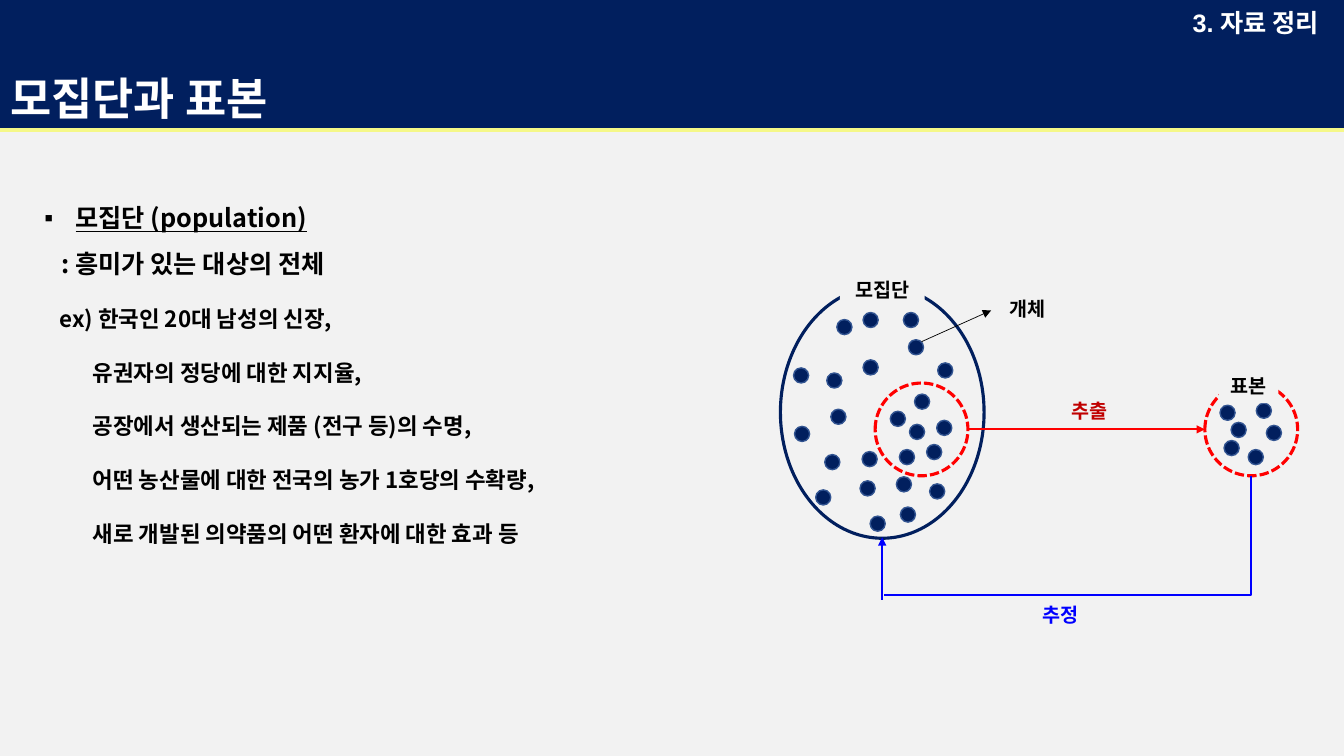
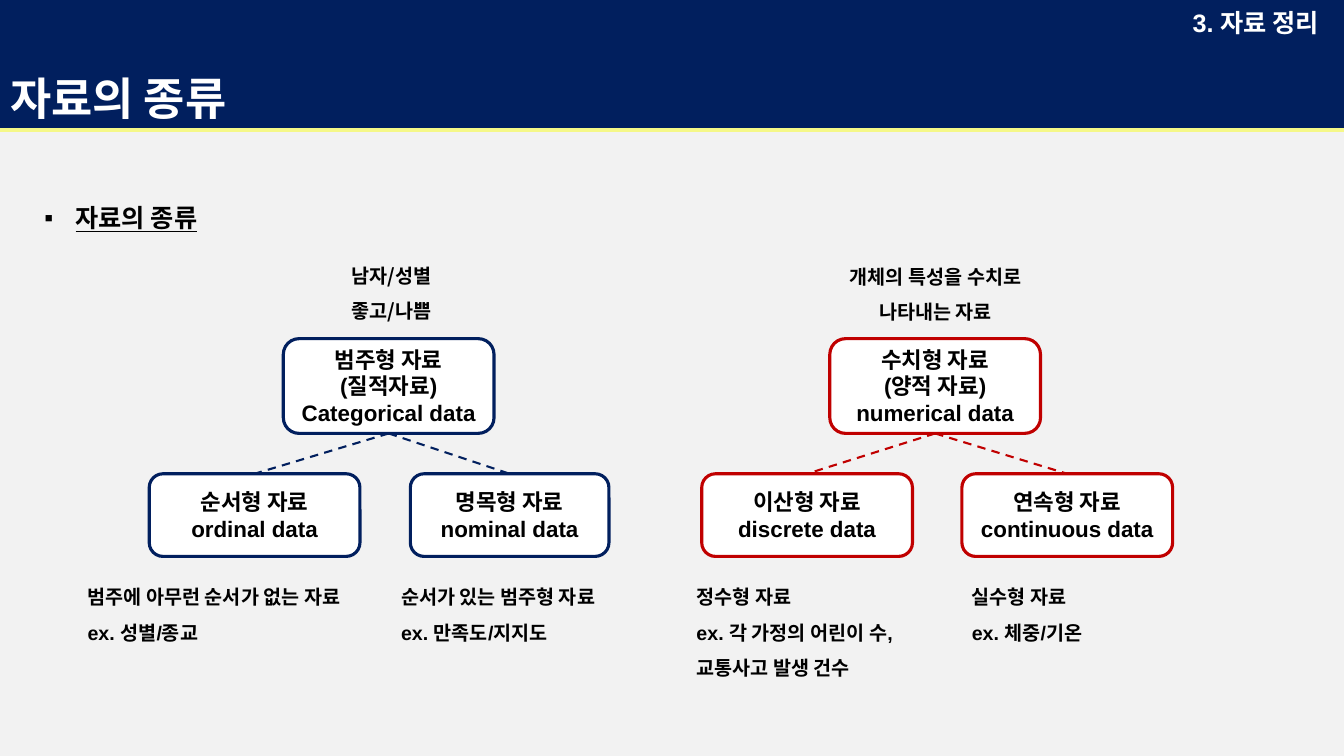
from lxml.etree import SubElement
from pptx import Presentation
from pptx.dml.color import RGBColor
from pptx.enum.dml import MSO_LINE as Dash
from pptx.enum.shapes import MSO_CONNECTOR as Link, MSO_SHAPE as Form
from pptx.enum.text import MSO_ANCHOR as Anchor, MSO_AUTO_SIZE as Fit, PP_ALIGN as Align
from pptx.oxml.ns import qn
from pptx.util import Inches, Pt

hues = {"navy": "011F5E", "rim": "325491", "gray": "F2F2F2", "white": "FFFFFF",
        "black": "000000", "red": "FF0000", "wine": "C00000", "blue": "0000FF",
        "lemon": "F5F888"}
tone = {key: RGBColor.from_string(code) for key, code in hues.items()}
noto = "Noto Sans CJK KR"


def write(frame, text, size=14, color="black", face=noto, align=Align.LEFT,
          gap=1.0, under=False, inset=0, mark=None):
    for row in text.split("\n"):
        para = frame.paragraphs[0]
        if para.runs:
            para = frame.add_paragraph()
        para.alignment = align
        para.line_spacing = gap
        para.space_before = Pt(0)
        prop = para._p.get_or_add_pPr()
        prop.set("marL", str(Inches(inset)))
        prop.set("indent", str(Inches(-inset if mark else 0)))
        if mark:
            SubElement(prop, qn("a:buChar")).set("char", mark)
        else:
            SubElement(prop, qn("a:buNone"))
        run = para.add_run()
        run.text = row
        font = run.font
        font.size = Pt(size)
        font.bold = True
        font.underline = under
        font.color.rgb = tone[color]
        font.name = face
        SubElement(run._r.get_or_add_rPr(), qn("a:ea")).set("typeface", noto)


def draw(slide, ends, color, width, kind=Link.STRAIGHT, dash=None, arrow=False):
    link = slide.shapes.add_connector(kind, *[Inches(n) for n in ends])
    link.line.color.rgb = tone[color]
    link.line.width = Pt(width)
    if dash:
        link.line.dash_style = dash
    if arrow:
        SubElement(link.line._get_or_add_ln(), qn("a:tailEnd")).set("type", "triangle")
    SubElement(link._element.spPr, qn("a:effectLst"))
    return link


deck = Presentation()
deck.slide_width = Inches(13.33)
deck.slide_height = Inches(7.5)
back = deck.slide_master.background.fill
back.solid()
back.fore_color.rgb = tone["gray"]

pages = [
    ("모집단과 표본", 12.38, 3.62, [
        ("모집단 (population)", 18, 1.5, 0.31),
        (": 흥미가 있는 대상의 전체", 18, 1.5, 0.17),
        ("ex) 한국인 20대 남성의 신장,", 16, 2, 0.15),
        ("유권자의 정당에 대한 지지율,", 16, 2, 0.48),
        ("공장에서 생산되는 제품 (전구 등)의 수명,", 16, 2, 0.48),
        ("어떤 농산물에 대한 전국의 농가 1호당의 수확량,", 16, 2, 0.48),
        ("새로 개발된 의약품의 어떤 환자에 대한 효과 등", 16, 2, 0.48)]),
    ("자료의 종류", 12.55, 0.5, [("자료의 종류", 18, 1.5, 0.31)]),
]
slides = []
for name, wide, high, rows in pages:
    slide = deck.slides.add_slide(deck.slide_layouts[1])
    slides.append(slide)
    head, body = slide.placeholders
    head.left, head.top = 0, 0
    head.width, head.height = deck.slide_width, Inches(1.29)
    head.fill.solid()
    head.fill.fore_color.rgb = tone["navy"]
    head.text_frame.auto_size = Fit.NONE
    head.text_frame.vertical_anchor = Anchor.BOTTOM
    write(head.text_frame, name, size=32, color="white", face="Arial", gap=0.9)

    body.left, body.top = Inches(0.34), Inches(1.81)
    body.width, body.height = Inches(wide), Inches(high)
    body.text_frame.auto_size = Fit.NONE
    for at, (text, size, gap, inset) in enumerate(rows):
        write(body.text_frame, text, size=size, gap=gap, inset=inset,
              under=at == 0, mark=None if at else "▪")

    part = slide.shapes.add_textbox(Inches(11.73), Inches(0.02), Inches(1.6), Inches(0.4))
    part.text_frame.word_wrap = False
    write(part.text_frame, "3. 자료 정리", size=18, color="white", face="Arial")
    draw(slide, (0, 1.29, 13.33, 1.29), "lemon", 2.25)

first, second = slides

dots = [
    (7.87, 3.65), (8.3, 3.17), (9.01, 3.37), (8.2, 3.7), (8.56, 3.57), (9.07, 3.91),
    (8.83, 4.08), (7.88, 4.23), (9.02, 4.21), (8.24, 4.06), (8.92, 4.46), (8.18, 4.51),
    (8.55, 4.48), (9.29, 4.17), (9.19, 4.41), (9.22, 4.8), (8.89, 4.73), (8.09, 4.86),
    (8.56, 3.1), (8.63, 5.12), (8.53, 4.77), (8.93, 5.03), (8.96, 3.1), (9.3, 3.6),
    (12.21, 4.19), (12.1, 4.02), (12.14, 4.37), (12.46, 4), (12.56, 4.22), (12.38, 4.46),
]
ovals = [
    (7.74, 2.84, 2.02, 2.5, None, "navy", 2.25, None),
    (8.68, 3.8, 0.92, 0.92, None, "red", 2.25, Dash.SQUARE_DOT),
    (11.95, 3.8, 0.92, 0.92, None, "red", 2.25, Dash.SQUARE_DOT),
] + [(x, y, 0.15, 0.15, "navy", "rim", 1, None) for x, y in dots]
for x, y, wide, high, fill, edge, width, dash in ovals:
    oval = first.shapes.add_shape(Form.OVAL, Inches(x), Inches(y), Inches(wide), Inches(high))
    oval.shadow.inherit = False
    if fill:
        oval.fill.solid()
        oval.fill.fore_color.rgb = tone[fill]
    else:
        oval.fill.background()
    oval.line.color.rgb = tone[edge]
    oval.line.width = Pt(width)
    if dash:
        oval.line.dash_style = dash

labels = [
    (8.33, 2.71, 0.84, "모집단", "black"),
    (9.87, 2.9, 0.64, "개체", "black"),
    (12.09, 3.66, 0.59, "표본", "black"),
    (10.49, 3.91, 0.64, "추출", "wine"),
    (10.2, 5.93, 0.64, "추정", "blue"),
]
for x, y, wide, text, color in labels:
    label = first.shapes.add_textbox(Inches(x), Inches(y), Inches(wide), Inches(0.34))
    label.fill.solid()
    label.fill.fore_color.rgb = tone["gray"]
    label.text_frame.word_wrap = True
    write(label.text_frame, text, color=color, align=Align.CENTER)

draw(first, (9.14, 3.39, 9.83, 3.08), "black", 0.5, arrow=True)
draw(first, (9.6, 4.26, 11.95, 4.26), "red", 1.5, arrow=True)
draw(first, (8.75, 5.95, 8.75, 5.33), "blue", 1.5, arrow=True)
bend = draw(first, (10, 3.49, 11.18, 7.13), "blue", 1.5, kind=Link.ELBOW)
bend._element.spPr.find(qn("a:prstGeom")).set("prst", "bentConnector2")
bend._element.spPr.find(qn("a:xfrm")).set("rot", "5400000")

trees = [
    ("navy", [(2.81, 3.36, 2.09, 0.94, "범주형 자료\n(질적자료)\nCategorical data"),
              (1.48, 4.7, 2.09, 0.82, "순서형 자료\nordinal data"),
              (4.07, 4.7, 1.97, 0.82, "명목형 자료\nnominal data")]),
    ("wine", [(8.23, 3.36, 2.09, 0.94, "수치형 자료\n(양적 자료)\nnumerical data"),
              (6.96, 4.7, 2.09, 0.82, "이산형 자료\ndiscrete data"),
              (9.54, 4.7, 2.09, 0.82, "연속형 자료\ncontinuous data")]),
]
for color, nodes in trees:
    boxes = []
    for x, y, wide, high, text in nodes:
        box = second.shapes.add_shape(Form.ROUNDED_RECTANGLE, Inches(x), Inches(y),
                                      Inches(wide), Inches(high))
        box.shadow.inherit = False
        box.fill.solid()
        box.fill.fore_color.rgb = tone["white"]
        box.line.color.rgb = tone[color]
        box.line.width = Pt(2.25)
        box.text_frame.vertical_anchor = Anchor.MIDDLE
        write(box.text_frame, text, size=16, face="Arial", align=Align.CENTER)
        boxes.append(box)
    root, *kids = boxes
    for kid in kids:
        link = draw(second, (0, 0, 1, 1), color, 1.5, dash=Dash.DASH)
        link.begin_connect(root, 2)
        link.end_connect(kid, 0)

notes = [
    (3.19, 2.45, 1.38, 0.76, "남자/성별\n좋고/나쁨", noto, Align.CENTER),
    (8.18, 2.46, 2.2, 0.76, "개체의 특성을 수치로 나타내는 자료", noto, Align.CENTER),
    (0.77, 5.64, 3.08, 0.76, "범주에 아무런 순서가 없는 자료\nex. 성별/종교", "Arial", Align.LEFT),
    (3.88, 5.64, 2.37, 0.76, "순서가 있는 범주형 자료\nex. 만족도/지지도", "Arial", Align.LEFT),
    (6.81, 5.64, 2.37, 1.12, "정수형 자료\nex. 각 가정의 어린이 수,\n교통사고 발생 건수",
     "Arial", Align.LEFT),
    (9.54, 5.64, 2.37, 0.76, "실수형 자료\nex. 체중/기온", "Arial", Align.LEFT),
]
for x, y, wide, high, text, face, align in notes:
    note = second.shapes.add_textbox(Inches(x), Inches(y), Inches(wide), Inches(high))
    note.text_frame.word_wrap = True
    write(note.text_frame, text, face=face, align=align, gap=1.5)

deck.save("out.pptx")
